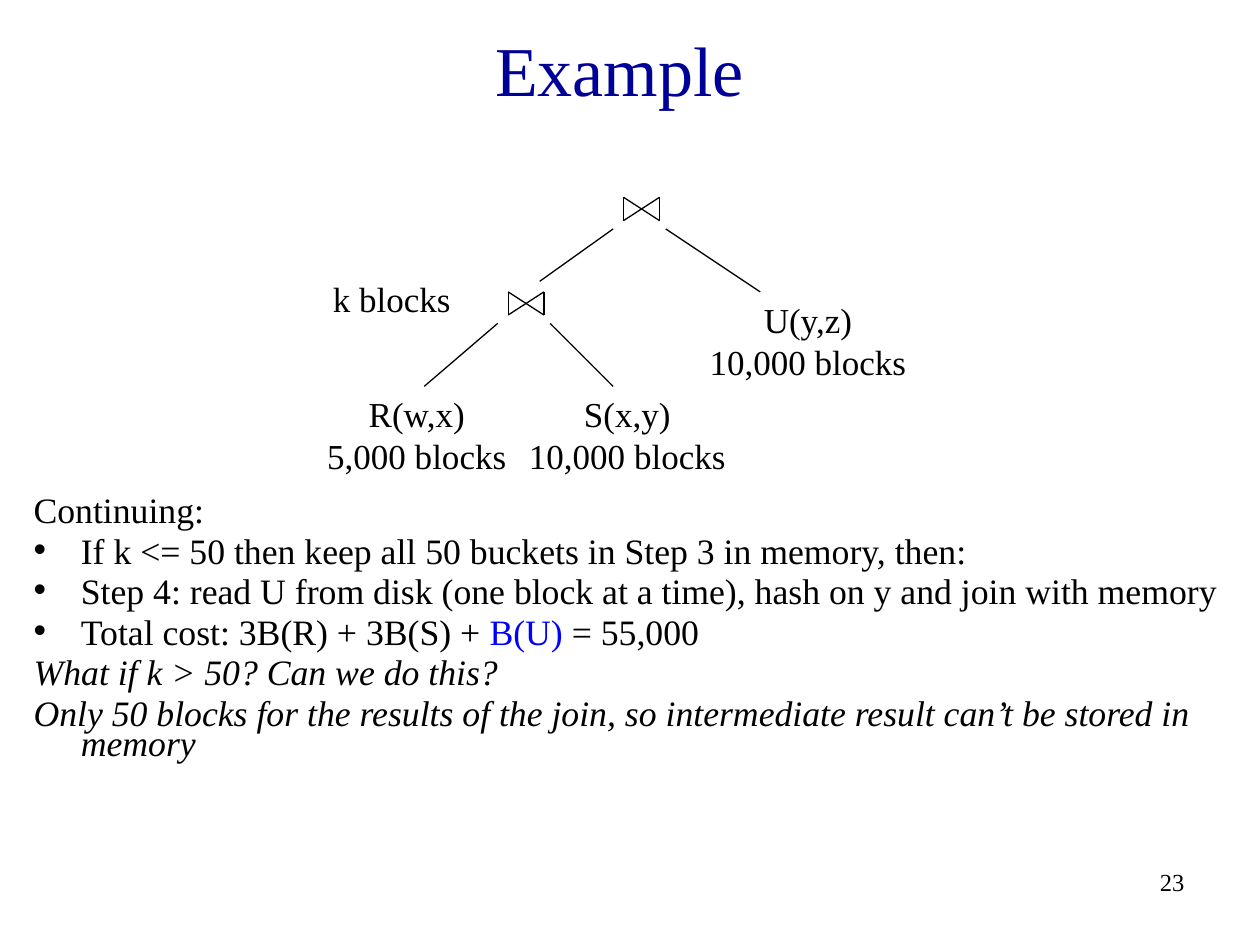
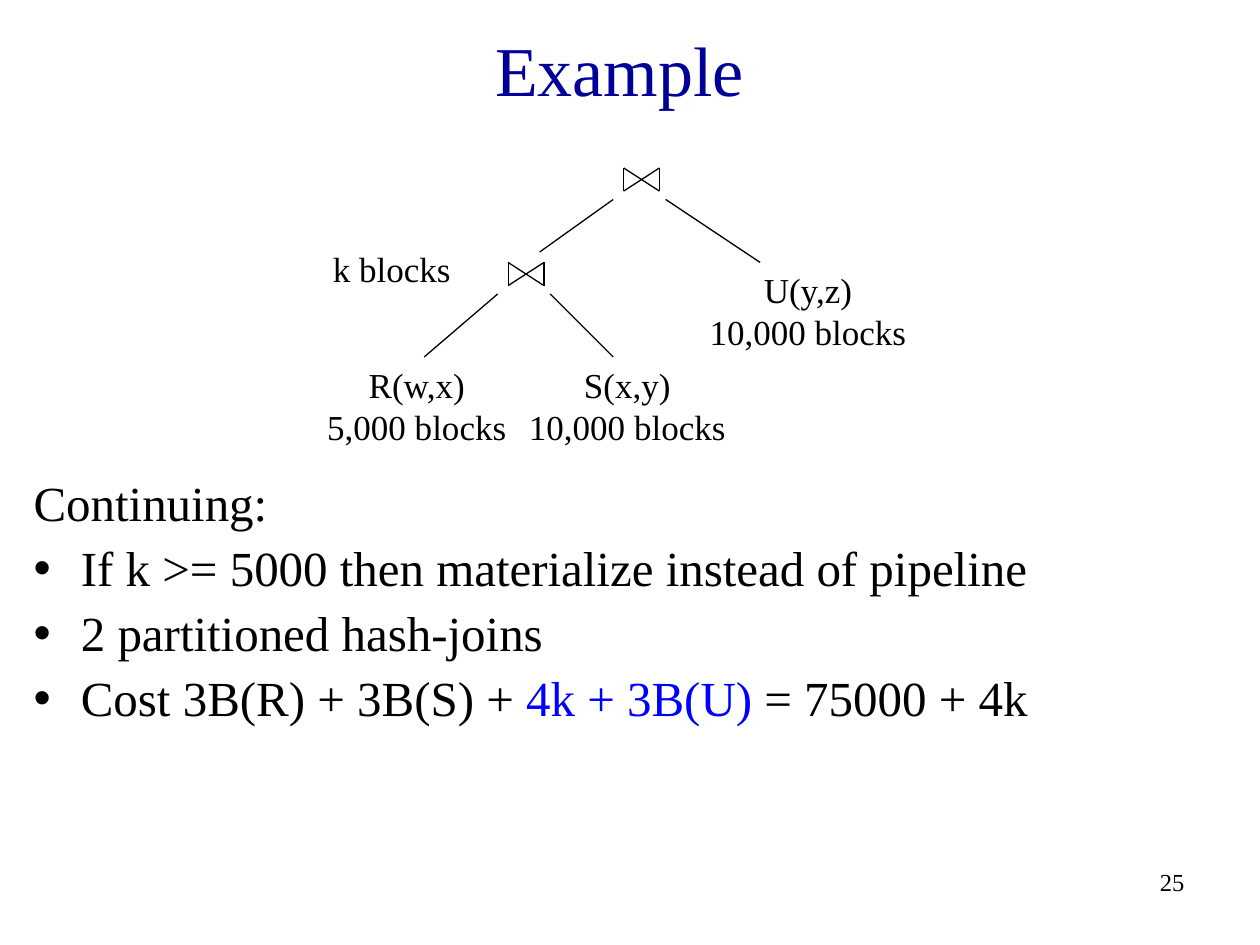
from lxml import etree
from pptx import Presentation
from pptx.dml.color import RGBColor
from pptx.enum.shapes import MSO_CONNECTOR
from pptx.enum.text import MSO_ANCHOR, MSO_AUTO_SIZE, PP_ALIGN
from pptx.oxml.ns import qn
from pptx.util import Inches, Pt

LEFT, CENTER, RIGHT = PP_ALIGN.LEFT, PP_ALIGN.CENTER, PP_ALIGN.RIGHT
TOP, MIDDLE = MSO_ANCHOR.TOP, MSO_ANCHOR.MIDDLE
NO_FIT = MSO_AUTO_SIZE.NONE
STRAIGHT = MSO_CONNECTOR.STRAIGHT

COLORS = {"text": "000000", "title": "000099", "accent": "0000FF"}
FONT = "Times New Roman"
CELL = Inches(1) // 12          # grid of 120 columns by 90 rows
INDENT = 4.5                    # hanging indent, in columns


def grid(*cells):
    return [round(c * CELL) for c in cells]


class Deck:
    """Holds the style and the current slide."""

    def __init__(self):
        self.prs = Presentation()
        self.prs.slide_width, self.prs.slide_height = grid(120, 90)
        self.s = None

    def new_slide(self, title, number):
        self.s = self.prs.slides.add_slide(self.prs.slide_layouts[1])
        tf = self.place(self.s.shapes.title, (2, 2, 114, 9), MIDDLE)
        self.add_runs(tf.paragraphs[0], [title], 40, CENTER, "title")
        self.label([str(number)], (89, 82, 25, 6), 14, RIGHT, wrap=True)

    def place(self, sp, box, anchor=TOP):
        sp.left, sp.top, sp.width, sp.height = grid(*box)
        tf = sp.text_frame
        tf.auto_size = NO_FIT
        tf.vertical_anchor = anchor
        return tf

    def add_runs(self, p, runs, size, align=LEFT, color="text", italic=False):
        """A run is a string, or a (string, colour name) pair."""
        p.alignment = align
        for run in runs:
            text, name = (run, color) if isinstance(run, str) else run
            r = p.add_run()
            r.text = text
            r.font.name, r.font.size, r.font.italic = FONT, Pt(size), italic
            r.font.color.rgb = RGBColor.from_string(COLORS[name])

    def label(self, lines, box, size=20, align=CENTER, wrap=False):
        tf = self.place(self.s.shapes.add_textbox(0, 0, 0, 0), box)
        tf.word_wrap = wrap
        for i, line in enumerate(lines):
            p = tf.add_paragraph() if i else tf.paragraphs[0]
            self.add_runs(p, [line], size, align)

    def line(self, *ends):
        c = self.s.shapes.add_connector(STRAIGHT, *grid(*ends))
        c.line.color.rgb = RGBColor.from_string(COLORS["text"])
        c.line.width = Pt(0.75)
        etree.SubElement(c._element.spPr, qn("a:effectLst"))

    def body(self, items, box, size, line_spacing, space_before):
        """Each item is (kind, runs); kind is plain, bullet or italic."""
        tf = self.place(self.s.placeholders[1], box)
        for i, (kind, runs) in enumerate(items):
            p = tf.add_paragraph() if i else tf.paragraphs[0]
            self.bullet(p, kind == "bullet")
            p.line_spacing = line_spacing
            p.space_before = Pt(space_before if i else 0)
            self.add_runs(p, runs, size, italic=kind == "italic")

    def bullet(self, p, shown):
        pPr = p._p.get_or_add_pPr()
        hang = grid(INDENT)[0]
        pPr.set("marL", str(hang))
        pPr.set("indent", str(-hang))
        if shown:
            clr = etree.SubElement(pPr, qn("a:buClr"))
            etree.SubElement(clr, qn("a:srgbClr"), val=COLORS["text"])
            etree.SubElement(pPr, qn("a:buChar"), char="•")
        else:
            etree.SubElement(pPr, qn("a:buNone"))

    def join_symbol(self, x, y, w=3.4, h=2.2):
        """Bowtie: two sides and two diagonals."""
        corners = [(x, y), (x + w, y + h), (x + w, y), (x, y + h)]
        for a, b in zip(corners, corners[1:] + corners[:1]):
            self.line(*a, *b)

    def join_tree(self, top):
        # Join operators
        for x, y in ((59.4, 0), (48.4, 9)):
            self.join_symbol(x, top + y)
        # Branches
        for x1, y1, x2, y2 in ((58.4, 3, 51.4, 8), (63.4, 3, 72.4, 9),
                               (47.4, 12, 40.4, 18), (52.4, 12, 58.4, 18)):
            self.line(x1, top + y1, x2, top + y2)
        # Relations and the intermediate result
        for lines, x, y, w in ((["R(w,x)", "5,000 blocks"], 30, 18, 19.4),
                               (["S(x,y)", "10,000 blocks"], 49.2, 18, 21.1),
                               (["U(y,z)", "10,000 blocks"], 66.4, 9, 21.1),
                               (["k blocks"], 30.5, 7, 13.6)):
            self.label(lines, (x, top + y, w, 1.2 + 4 * len(lines)))


def main():
    deck = Deck()

    # Small intermediate result: pipeline
    deck.new_slide("Example", 23)
    deck.body([
        ("plain", ["Continuing:"]),
        ("bullet", ["If k <= 50 then keep all 50 buckets in Step 3 in memory, then:"]),
        ("bullet", ["Step 4: read U from disk (one block at a time), "
                    "hash on y and join with memory"]),
        ("bullet", ["Total cost: 3B(R) + 3B(S) + ", ("B(U)", "accent"), " = 55,000"]),
        ("italic", ["What if k > 50? Can we do this?"]),
        ("italic", ["Only 50 blocks for the results of the join, "
                    "so intermediate result can’t be stored in memory"]),
    ], (2, 47, 116, 28), 20.4, 0.7, 6)
    deck.join_tree(18.8)

    # Large intermediate result: materialize
    deck.new_slide("Example", 25)
    deck.body([
        ("plain", ["Continuing:"]),
        ("bullet", ["If k >= 5000 then materialize instead of pipeline"]),
        ("bullet", ["2 partitioned hash-joins"]),
        ("bullet", ["Cost 3B(R) + 3B(S) + ", ("4k + 3B(U) ", "accent"), "= 75000 + 4k"]),
    ], (2, 45, 114, 39), 28, 0.9, 7)
    deck.join_tree(16)

    deck.prs.save("out.pptx")


if __name__ == "__main__":
    main()
